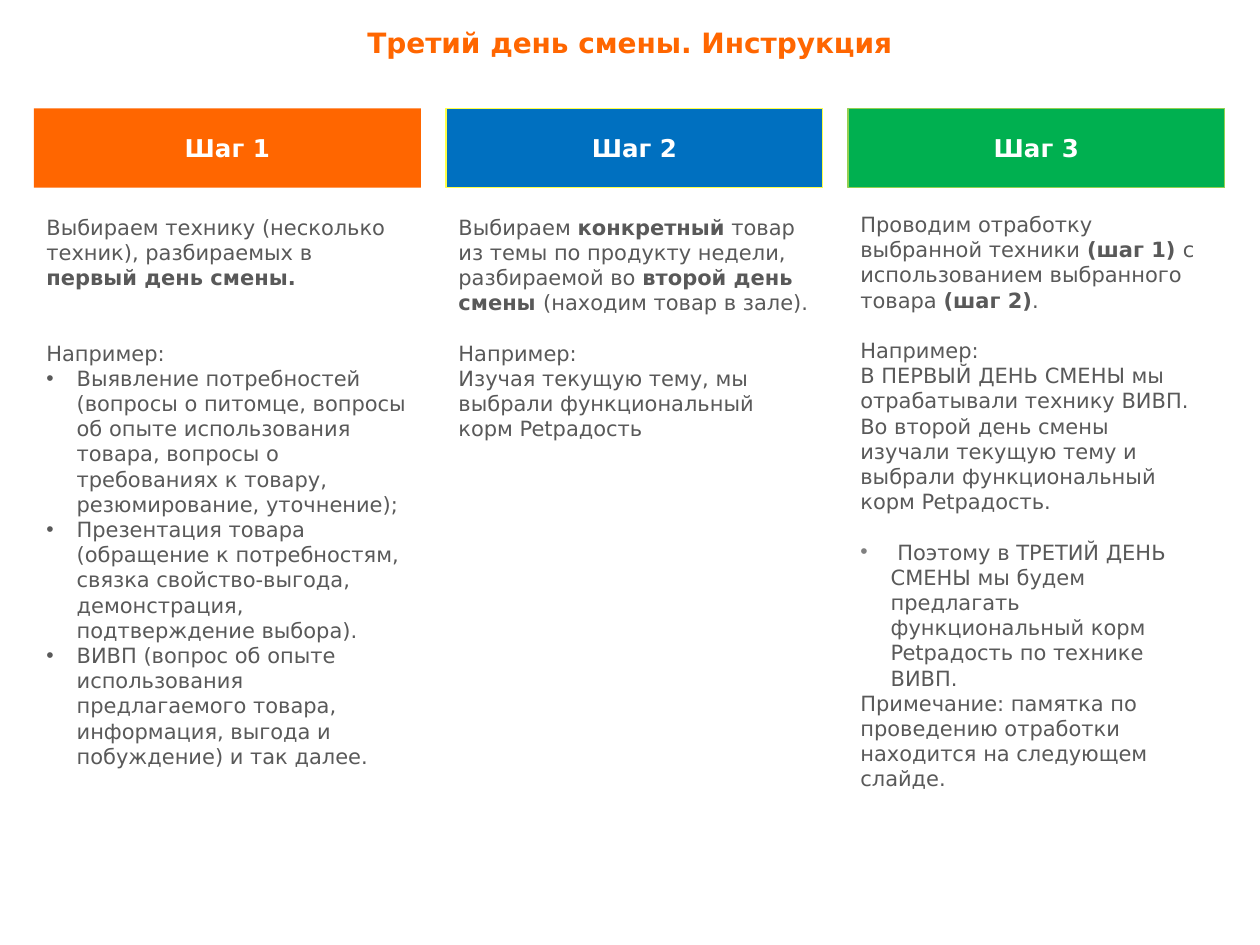
from dataclasses import dataclass

from lxml import etree
from pptx import Presentation
from pptx import util as u
from pptx.dml.color import RGBColor
from pptx.enum import shapes, text
from pptx.oxml.ns import qn

FONT = "DejaVu Sans"
HUES = {"orange": "FF6600", "blue": "0070C0", "green": "00B050",
        "yellow": "FFFF47", "lime": "92D050", "white": "FFFFFF",
        "gray": "595959", "pale": "808080"}
LINE = 14.4  # height of one body line, points
HANG = 0.24  # bullet indent, inches


@dataclass
class Para:
    words: str        # ** switches bold on and off
    gap: int = 0      # lines of space before
    dot: str = ""     # bullet colour


@dataclass
class Step:
    name: str
    left: float
    width: float
    fill: str
    edge: str
    top: float
    wide: float
    high: float
    paras: list[Para]


STEPS = [
    Step("Шаг 1", 0.27, 3.07, "orange", "", 1.65, 3.07, 4.96, [
        Para("Выбираем технику (несколько техник), разбираемых в **первый день смены.**"),
        Para("Например:", gap=2),
        Para("Выявление потребностей (вопросы о питомце, вопросы об опыте "
             "использования товара, вопросы о требованиях к товару, "
             "резюмирование, уточнение);", dot="gray"),
        Para("Презентация товара (обращение к потребностям, связка "
             "свойство-выгода, демонстрация, подтверждение выбора).", dot="gray"),
        Para("ВИВП (вопрос об опыте использования предлагаемого товара, "
             "информация, выгода и побуждение) и так далее.", dot="gray"),
    ]),
    Step("Шаг 2", 3.54, 2.99, "blue", "yellow", 1.65, 2.99, 2.99, [
        Para("Выбираем **конкретный** товар из темы по продукту недели, "
             "разбираемой во **второй день смены **(находим товар в зале)."),
        Para("Например:", gap=1),
        Para("Изучая текущую тему, мы выбрали функциональный корм Petрадость"),
    ]),
    Step("Шаг 3", 6.73, 2.99, "green", "lime", 1.63, 2.91, 4.96, [
        Para("Проводим отработку выбранной техники **(шаг 1) **с "
             "использованием выбранного товара **(шаг 2)**."),
        Para("Например:", gap=1),
        Para("В ПЕРВЫЙ ДЕНЬ СМЕНЫ мы отрабатывали технику ВИВП. Во второй "
             "день смены изучали текущую тему и выбрали функциональный "
             "корм Petрадость."),
        Para(" Поэтому в ТРЕТИЙ ДЕНЬ СМЕНЫ мы будем предлагать "
             "функциональный корм Petрадость по технике ВИВП.", gap=1, dot="pale"),
        Para("Примечание: памятка по проведению отработки находится на "
             "следующем слайде."),
    ]),
]


def color(key: str) -> RGBColor:
    return RGBColor.from_string(HUES[key])


def style(run, size: float, hue: str, bold: bool) -> None:
    run.font.name = FONT
    run.font.size = u.Pt(size)
    run.font.bold = bold
    run.font.color.rgb = color(hue)


def label(shape, words: str, size: float, hue: str, anchor) -> None:
    """Put one centred bold line in a shape."""
    frame = shape.text_frame
    frame.text = words
    frame.word_wrap = True
    frame.auto_size = text.MSO_AUTO_SIZE.NONE
    frame.vertical_anchor = anchor
    para = frame.paragraphs[0]
    para.alignment = text.PP_ALIGN.CENTER
    style(para.runs[0], size, hue, True)


def bullet(para, hue: str) -> None:
    props = para._p.get_or_add_pPr()
    props.set("marL", str(u.Inches(HANG)))
    props.set("indent", str(-u.Inches(HANG)))
    tint = etree.SubElement(props, qn("a:buClr"))
    etree.SubElement(tint, qn("a:srgbClr"), val=HUES[hue])
    etree.SubElement(props, qn("a:buFont"), typeface="Arial")
    etree.SubElement(props, qn("a:buChar"), char="•")


def head(slide, step: Step) -> None:
    box = slide.shapes.add_shape(
        shapes.MSO_SHAPE.RECTANGLE, u.Inches(step.left), u.Inches(0.86),
        u.Inches(step.width), u.Inches(0.63))
    box.shadow.inherit = False
    box.fill.solid()
    box.fill.fore_color.rgb = color(step.fill)
    if step.edge:
        box.line.color.rgb = color(step.edge)
        box.line.width = u.Pt(0.75)
    else:
        box.line.fill.background()
    label(box, step.name, 14, "white", text.MSO_ANCHOR.MIDDLE)


def body(slide, step: Step) -> None:
    box = slide.shapes.add_textbox(
        u.Inches(step.left), u.Inches(step.top),
        u.Inches(step.wide), u.Inches(step.high))
    frame = box.text_frame
    frame.word_wrap = True
    for i, item in enumerate(step.paras):
        para = frame.add_paragraph() if i else frame.paragraphs[0]
        if item.gap:
            para.space_before = u.Pt(item.gap * LINE)
        if item.dot:
            bullet(para, item.dot)
        for j, part in enumerate(item.words.split("**")):
            if part:
                run = para.add_run()
                run.text = part
                style(run, 12, "gray", j % 2 == 1)


def main() -> None:
    deck = Presentation()
    deck.slide_width, deck.slide_height = u.Inches(10), u.Inches(7.5)
    slide = deck.slides.add_slide(deck.slide_layouts[5])

    # Title
    title = slide.shapes.title
    title.left, title.top = u.Inches(0), u.Inches(0.15)
    title.width, title.height = u.Inches(10), u.Inches(0.37)
    label(title, "Третий день смены. Инструкция", 16, "orange", text.MSO_ANCHOR.TOP)

    # Three step columns
    for step in STEPS:
        head(slide, step)
        body(slide, step)

    deck.save("out.pptx")


if __name__ == "__main__":
    main()
